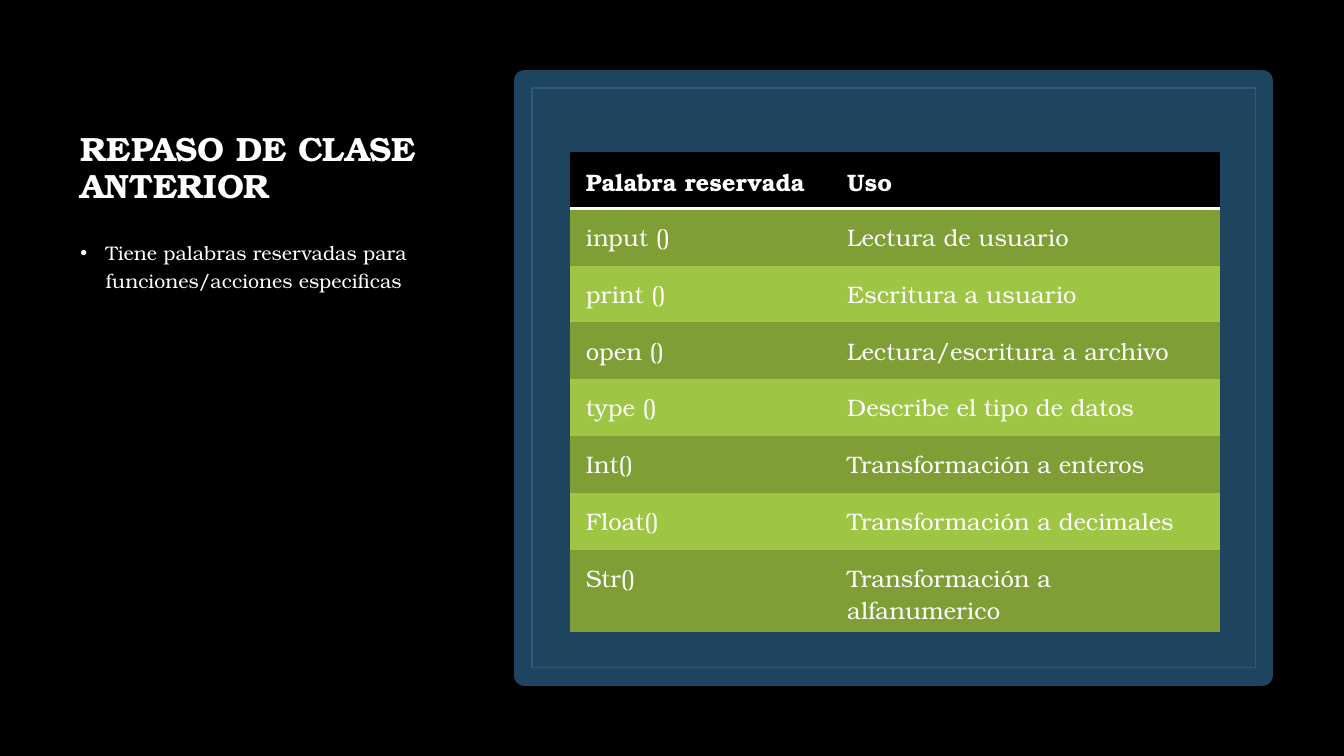
from lxml import etree
from pptx import Presentation
from pptx.dml.color import RGBColor
from pptx.enum.shapes import MSO_SHAPE
from pptx.enum.text import MSO_ANCHOR, MSO_AUTO_SIZE, PP_ALIGN
from pptx.oxml import parse_xml
from pptx.oxml.ns import nsdecls, qn
from pptx.util import Pt

RECT = MSO_SHAPE.RECTANGLE
TOP, MIDDLE, BOTTOM = MSO_ANCHOR.TOP, MSO_ANCHOR.MIDDLE, MSO_ANCHOR.BOTTOM
NO_FIT, LEFT = MSO_AUTO_SIZE.NONE, PP_ALIGN.LEFT
NO_STYLE = "{2D5ABB26-0587-4C30-8999-92F81FD0307C}"

ROWS = [
    ("Palabra reservada", "Uso"),
    ("input ()", "Lectura de usuario"),
    ("print ()", "Escritura a usuario"),
    ("open ()", "Lectura/escritura a archivo"),
    ("type ()", "Describe el tipo de datos"),
    ("Int()", "Transformación a enteros"),
    ("Float()", "Transformación a decimales"),
    ("Str()", "Transformación a alfanumerico"),
]


def color(code):
    return RGBColor.from_string(code)


def apply(obj, values):
    for name, value in values.items():
        setattr(obj, name, value)


class Deck:
    font = "TeX Gyre Bonum"
    ink, back = "FFFFFF", "000000"
    bands = ("9EC544", "7F9E36")
    pad = {"margin_left": Pt(11.5), "margin_right": Pt(9.4),
           "margin_top": Pt(8.6), "margin_bottom": Pt(8.6)}

    def __init__(self):
        self.prs = Presentation()
        apply(self.prs, {"slide_width": Pt(960), "slide_height": Pt(540)})
        self.slide = self.prs.slides.add_slide(self.prs.slide_layouts[5])
        self.paint(self.slide.background.fill, self.back)

    def paint(self, fill, code):
        fill.solid()
        fill.fore_color.rgb = color(code)

    def label(self, frame, text, size, bold=False, **style):
        """Fill a text frame with one styled paragraph and return it."""
        frame.text = text
        par = frame.paragraphs[0]
        apply(par, {"alignment": LEFT, **style})
        font = par.runs[0].font
        apply(font, {"name": self.font, "size": Pt(size), "bold": bold})
        font.color.rgb = color(self.ink)
        return par

    def title(self, text, box):
        shape = self.slide.shapes.title
        apply(shape, dict(zip(("left", "top", "width", "height"), map(Pt, box))))
        apply(shape.text_frame, {"word_wrap": True, "auto_size": NO_FIT,
                                 "vertical_anchor": BOTTOM})
        self.label(shape.text_frame, text, 24, True, line_spacing=0.9)

    def bullet(self, text, box):
        frame = self.slide.shapes.add_textbox(*map(Pt, box)).text_frame
        apply(frame, {"word_wrap": True, "vertical_anchor": TOP})
        par = self.label(frame, text, 14, line_spacing=1.2, space_before=Pt(10))
        props = par._p.get_or_add_pPr()
        props.set("marL", str(Pt(18)))
        props.set("indent", str(-Pt(18)))
        etree.SubElement(props, qn("a:buFont")).set("typeface", "Arial")
        etree.SubElement(props, qn("a:buChar")).set("char", "•")

    def panel(self, box, line, width, fill=None):
        shape = self.slide.shapes.add_shape(RECT, *map(Pt, box))
        shape.shadow.inherit = False
        if fill:
            self.paint(shape.fill, fill)
        else:
            shape.fill.background()
        shape.line.color.rgb = color(line)
        shape.line.width = Pt(width)

    def rule(self, cell):
        """Draw the line below a heading cell."""
        line = parse_xml(
            f'<a:lnB {nsdecls("a")} w="{Pt(2)}"><a:solidFill>'
            f'<a:srgbClr val="{self.ink}"/></a:solidFill></a:lnB>')
        cell._tc.get_or_add_tcPr().insert(0, line)

    def table(self, rows, left, top, widths, height):
        table = self.slide.shapes.add_table(
            len(rows), len(widths), Pt(left), Pt(top),
            Pt(sum(widths)), Pt(height * len(rows))).table
        table._tbl.tblPr.find(qn("a:tableStyleId")).text = NO_STYLE
        for col, width in zip(table.columns, widths):
            col.width = Pt(width)
        for r, texts in enumerate(rows):
            table.rows[r].height = Pt(height)
            head = r == 0
            for c, text in enumerate(texts):
                cell = table.cell(r, c)
                apply(cell, {**self.pad, "vertical_anchor": MIDDLE if head else TOP})
                self.paint(cell.fill, self.back if head else self.bands[r % 2])
                self.label(cell.text_frame, text, 17, head)
                if head:
                    self.rule(cell)


def main():
    deck = Deck()
    deck.title("REPASO DE CLASE ANTERIOR", (50.4, 50.4, 265, 100))
    deck.bullet("Tiene palabras reservadas para funciones/acciones especificas",
                (50.4, 165, 265, 317.5))
    deck.panel((374.5, 57.5, 527, 425), "1F445F", 15, "1F445F")
    deck.panel((380, 62.8, 517, 414), "2A5B7F", 1)
    deck.table(ROWS, 407, 108.3, (186.7, 277.5), 40.7)
    deck.prs.save("out.pptx")


if __name__ == "__main__":
    main()
